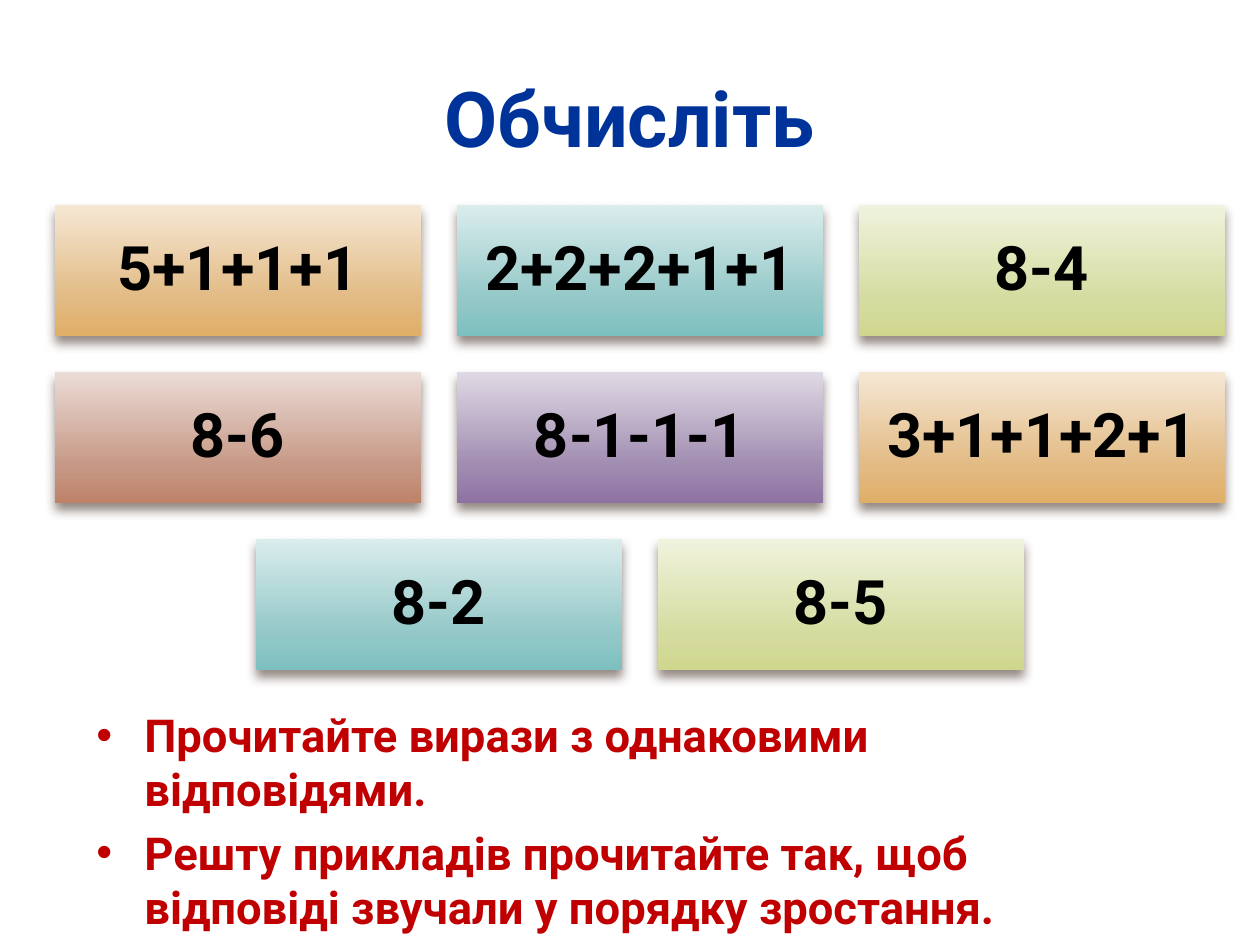
import lxml.etree
import pptx
import pptx.dml.color
import pptx.enum.shapes
import pptx.enum.text
import pptx.oxml
import pptx.oxml.ns
import pptx.util

RGBColor = pptx.dml.color.RGBColor
ALIGN = pptx.enum.text.PP_ALIGN
ANCHOR = pptx.enum.text.MSO_ANCHOR

SCALE = pptx.util.Inches(1) / 126
FONT = "Roboto"
BLUE = RGBColor(0x00, 0x33, 0x9A)
RED = RGBColor(0xC0, 0x00, 0x00)
BLACK = RGBColor(0x00, 0x00, 0x00)
OUTLINE = RGBColor(0xF2, 0xF2, 0xF2)
SHADOW = RGBColor(0x4E, 0x3B, 0x30)

# Gradient colours at 0, 72 and 100 percent
ORANGE = (RGBColor(0xF5, 0xE7, 0xD4), RGBColor(0xE2, 0xBA, 0x83), RGBColor(0xE0, 0xAF, 0x68))
TEAL = (RGBColor(0xDA, 0xEC, 0xEC), RGBColor(0x94, 0xC8, 0xC8), RGBColor(0x7D, 0xC0, 0xC0))
GREEN = (RGBColor(0xF0, 0xF3, 0xDD), RGBColor(0xD5, 0xDC, 0xA0), RGBColor(0xCF, 0xD7, 0x8E))
BROWN = (RGBColor(0xEB, 0xDC, 0xD7), RGBColor(0xC6, 0x98, 0x85), RGBColor(0xBE, 0x82, 0x68))
PURPLE = (RGBColor(0xDF, 0xD9, 0xE4), RGBColor(0xA0, 0x8C, 0xB0), RGBColor(0x8E, 0x72, 0xA3))
STOPS = (0, 72000, 100000)
NAMESPACE = pptx.oxml.ns.nsdecls("a")


def px(length):
    return pptx.util.Emu(round(length * SCALE))


def write(para, text, size, color, align=ALIGN.LEFT, spacing=None, before=None, bullet=False):
    para.alignment = align
    if spacing:
        para.line_spacing = spacing
    if before is not None:
        para.space_before = pptx.util.Pt(before)
    if bullet:
        properties = para._p.get_or_add_pPr()
        properties.set("marL", str(px(48)))
        properties.set("indent", str(-px(48)))
        properties.append(pptx.oxml.parse_xml(f'<a:buFont {NAMESPACE} typeface="Arial"/>'))
        properties.append(pptx.oxml.parse_xml(f'<a:buChar {NAMESPACE} char="•"/>'))
    span = para.add_run()
    span.text = text
    for font in (para.font, span.font):
        font.name = FONT
        font.size = pptx.util.Pt(size)
        font.bold = True
        font.color.rgb = color
    return span


deck = pptx.Presentation()
deck.slide_width = px(1260)
deck.slide_height = px(945)
page = deck.slides.add_slide(deck.slide_layouts[5])

# Title
title = page.shapes.title
title.left, title.top, title.width, title.height = px(63), px(38), px(1134), px(158)
title.text_frame.vertical_anchor = ANCHOR.MIDDLE
span = write(title.text_frame.paragraphs[0], "Обчисліть", size=44, color=BLUE, align=ALIGN.CENTER)
span.font._element.insert(0, pptx.oxml.parse_xml(
    f'<a:ln {NAMESPACE} w="1905"><a:solidFill><a:srgbClr val="{OUTLINE}"/></a:solidFill></a:ln>'))

# Tasks under the cards
tasks = page.shapes.add_textbox(px(84), px(701), px(1052), px(213))
tasks.text_frame.word_wrap = True
write(tasks.text_frame.paragraphs[0], "Прочитайте вирази з однаковими відповідями.",
      size=25.9, color=RED, before=0, bullet=True)
write(tasks.text_frame.add_paragraph(),
      "Решту прикладів прочитайте так, щоб відповіді звучали у порядку зростання.",
      size=25.9, color=RED, before=5.2, bullet=True)

# Expression cards, each row centred on the same axis
rows = [
    [("5+1+1+1", ORANGE), ("2+2+2+1+1", TEAL), ("8-4", GREEN)],
    [("8-6", BROWN), ("8-1-1-1", PURPLE), ("3+1+1+2+1", ORANGE)],
    [("8-2", TEAL), ("8-5", GREEN)],
]
CENTER, TOP, WIDTH, HEIGHT, GAP = 640, 205, 366, 131, 36
for row, cards in enumerate(rows):
    left = CENTER - (len(cards) * (WIDTH + GAP) - GAP) // 2
    top = TOP + row * (HEIGHT + GAP)
    for column, (expression, colors) in enumerate(cards):
        card = page.shapes.add_shape(
            pptx.enum.shapes.MSO_SHAPE.RECTANGLE,
            px(left + column * (WIDTH + GAP)), px(top), px(WIDTH), px(HEIGHT))
        card.line.fill.background()

        # Three-stop gradient from top to bottom
        card.fill.gradient()
        card.fill.gradient_angle = 270
        stops = card._element.spPr.find(".//" + pptx.oxml.ns.qn("a:gsLst"))
        for stop in list(stops):
            stops.remove(stop)
        for position, color in zip(STOPS, colors):
            stops.append(pptx.oxml.parse_xml(
                f'<a:gs {NAMESPACE} pos="{position}"><a:srgbClr val="{color}"/></a:gs>'))

        # Soft shadow below
        card.shadow.inherit = False
        effects = card._element.spPr.find(pptx.oxml.ns.qn("a:effectLst"))
        effects.append(pptx.oxml.parse_xml(
            f'<a:outerShdw {NAMESPACE} blurRad="{pptx.util.Pt(6)}" dist="{pptx.util.Pt(4)}" '
            f'dir="5400000" rotWithShape="0"><a:srgbClr val="{SHADOW}">'
            '<a:alpha val="60000"/></a:srgbClr></a:outerShdw>'))

        frame = card.text_frame
        frame.word_wrap = True
        frame.vertical_anchor = ANCHOR.MIDDLE
        frame.margin_left = frame.margin_right = px(19)
        frame.margin_top = frame.margin_bottom = px(19)
        write(frame.paragraphs[0], expression, size=35, color=BLACK,
              align=ALIGN.CENTER, spacing=0.9)

deck.save("out.pptx")
